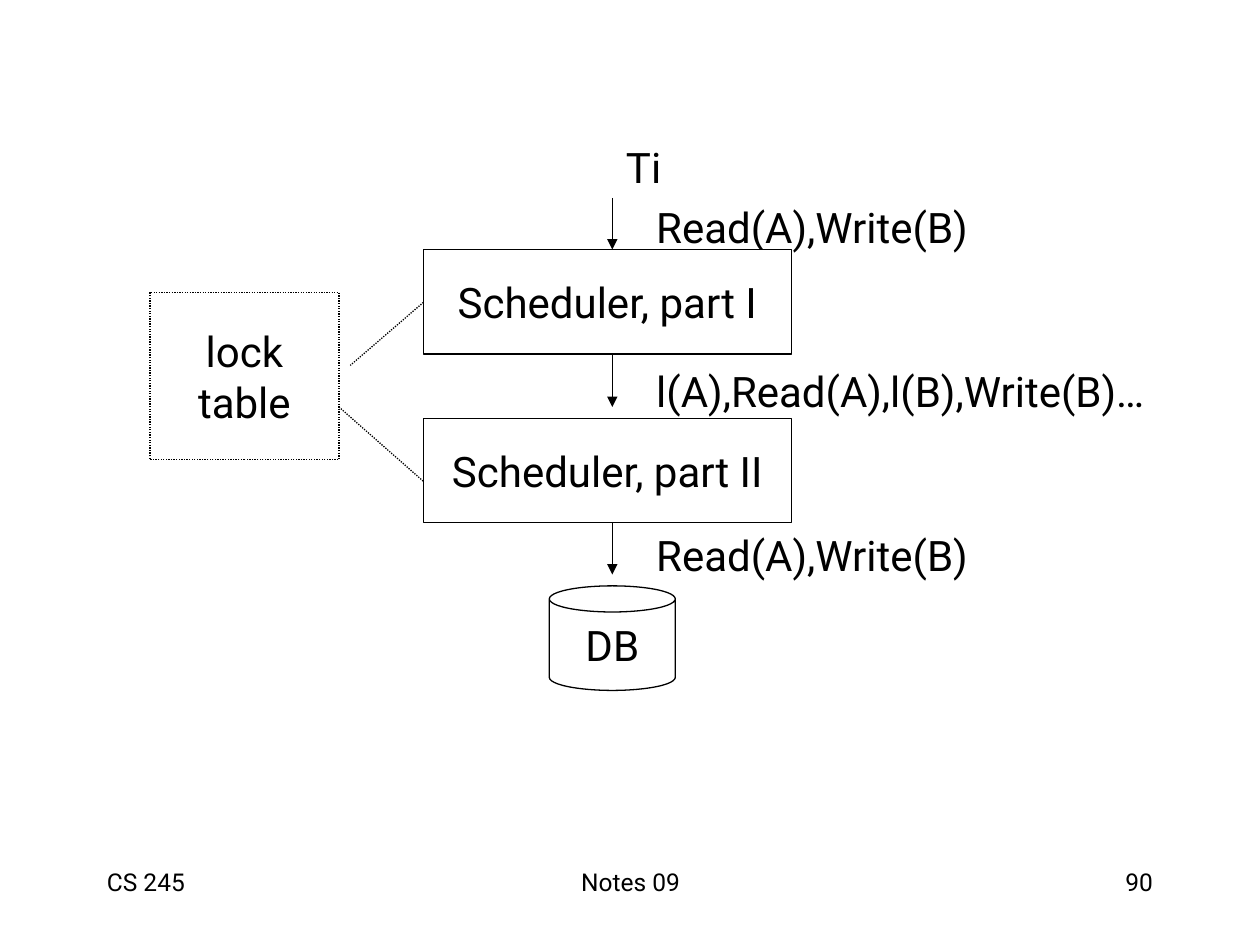
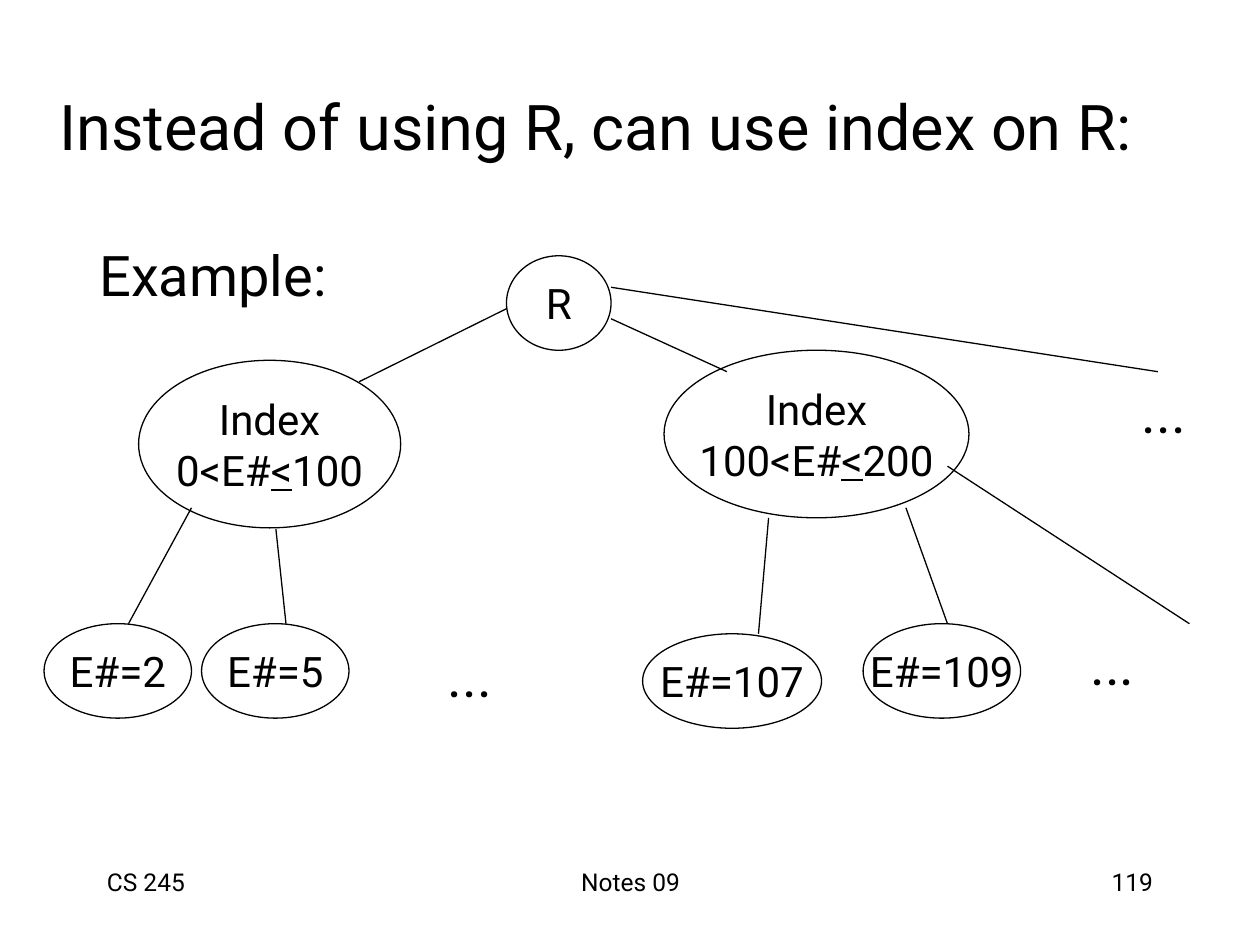
from dataclasses import dataclass

from pptx import Presentation
from pptx.dml.color import RGBColor
from pptx.enum.dml import MSO_LINE_DASH_STYLE as DASH
from pptx.enum.shapes import MSO_CONNECTOR as CONN, MSO_SHAPE as SHAPE
from pptx.enum.text import MSO_ANCHOR as ANCHOR, MSO_AUTO_SIZE as FIT, PP_ALIGN as ALIGN
from pptx.oxml.ns import qn
from pptx.util import Inches, Pt
from lxml.etree import SubElement


@dataclass(frozen=True)
class Theme:
    font: str = "Roboto"
    ink: RGBColor = RGBColor(0, 0, 0)
    paper: RGBColor = RGBColor(255, 255, 255)
    title: int = 36
    body: int = 32
    label: int = 24
    footer: int = 14
    line: float = 0.75


class Deck:
    TITLE_ONLY, BLANK = 5, 6

    def __init__(self, theme):
        self.theme = theme
        self.prs = Presentation()
        self.prs.slide_width = Inches(10)
        self.prs.slide_height = Inches(7.5)
        self.s = None

    def slide(self, number, title=None):
        layout = self.BLANK if title is None else self.TITLE_ONLY
        self.s = self.prs.slides.add_slide(self.prs.slide_layouts[layout])
        fill = self.s.background.fill
        fill.solid()
        fill.fore_color.rgb = self.theme.paper
        if title is not None:
            self.title(title)
        for text, x, w, align in (
            ("CS 245", 0.75, 2.08, ALIGN.LEFT),
            ("Notes 09", 3.42, 3.17, ALIGN.CENTER),
            (str(number), 7.17, 2.08, ALIGN.RIGHT),
        ):
            self.text(text, x, 6.83, w, 0.5, self.theme.footer, align, ANCHOR.TOP)

    def title(self, text):
        sp = self.s.shapes.title
        sp.left, sp.top, sp.width, sp.height = map(Inches, (0.37, 0.37, 9.14, 1.25))
        self.add_lines(sp.text_frame, [text], self.theme.title, ALIGN.LEFT)

    def add_lines(self, tf, lines, size, align, anchor=ANCHOR.MIDDLE, wrap=True):
        tf.auto_size = FIT.NONE
        tf.word_wrap = wrap
        tf.vertical_anchor = anchor
        for i, line in enumerate(lines):
            p = tf.paragraphs[0] if i == 0 else tf.add_paragraph()
            p.alignment = align
            for part in [line] if isinstance(line, str) else line:
                r = p.add_run()
                r.text = part
                r.font.name = self.theme.font
                r.font.size = Pt(size)
                r.font.color.rgb = self.theme.ink
                if part == "<":
                    r.font.underline = True

    def text(self, text, x, y, w, h, size, align=ALIGN.LEFT, anchor=ANCHOR.MIDDLE):
        sp = self.s.shapes.add_textbox(*map(Inches, (x, y, w, h)))
        self.add_lines(sp.text_frame, [text], size, align, anchor)

    def stroke(self, line, dash):
        line.color.rgb = self.theme.ink
        line.width = Pt(self.theme.line)
        if dash:
            line.dash_style = dash

    def node(self, kind, lines, x, y, w, h, dash=None):
        sp = self.s.shapes.add_shape(kind, *map(Inches, (x, y, w, h)))
        sp.shadow.inherit = False
        sp.fill.solid()
        sp.fill.fore_color.rgb = self.theme.paper
        self.stroke(sp.line, dash)
        self.add_lines(sp.text_frame, lines, self.theme.label, ALIGN.CENTER, wrap=False)

    def link(self, x1, y1, x2, y2, dash=None, arrow=False):
        cxn = self.s.shapes.add_connector(CONN.STRAIGHT, *map(Inches, (x1, y1, x2, y2)))
        self.stroke(cxn.line, dash)
        props = cxn._element.spPr
        if arrow:
            SubElement(props.get_or_add_ln(), qn("a:tailEnd"), type="triangle")
        SubElement(props, qn("a:effectLst"))


def scheduler_slide(deck):
    deck.slide(90)
    size = deck.theme.label
    deck.text("Ti", 4.87, 1.07, 0.8, 0.5, size)
    requests = ("Read(A),Write(B)", "l(A),Read(A),l(B),Write(B)…", "Read(A),Write(B)")
    for i, request in enumerate(requests):
        deck.text(request, 5.11, 1.55 + 1.3 * i, 4.25, 0.5, size)

    for i, part in enumerate(("I", "II")):
        deck.node(SHAPE.RECTANGLE, [f"Scheduler, part {part}"], 3.36, 1.98 + 1.34 * i, 2.92, 0.83)
    deck.node(SHAPE.CAN, ["DB"], 4.36, 4.65, 1, 0.83)
    for y in (1.57, 2.82, 4.15):
        deck.link(4.86, y, 4.86, y + 0.41, arrow=True)

    dots = DASH.ROUND_DOT
    deck.node(SHAPE.RECTANGLE, ["lock", "table"], 1.19, 2.32, 1.5, 1.33, dots)
    deck.link(3.36, 2.4, 2.78, 2.9, dots)
    deck.link(2.69, 3.23, 3.36, 3.82, dots)


def index_slide(deck):
    deck.slide(119, "Instead of using R, can use index on R:")
    deck.text("Example:", 0.69, 1.86, 3, 0.65, deck.theme.body, anchor=ANCHOR.TOP)

    for lines, *box in (
        (["R"], 4.02, 2.03, 0.83, 0.75),
        (["Index", ("0<E#", "<", "100")], 1.1, 2.86, 2.08, 1.33),
        (["Index", ("100<E#", "<", "200")], 5.27, 2.78, 2.42, 1.33),
        (["E#=2"], 0.35, 4.95, 1.17, 0.75),
        (["E#=5"], 1.6, 4.95, 1.17, 0.75),
        (["E#=107"], 5.1, 5.03, 1.42, 0.75),
        (["E#=109"], 6.85, 4.95, 1.25, 0.75),
    ):
        deck.node(SHAPE.OVAL, lines, *box)

    for ends in (
        (4.02, 2.45, 2.85, 3.03),
        (4.85, 2.53, 5.77, 2.95),
        (4.85, 2.28, 9.19, 2.95),
        (1.52, 4.03, 1.02, 4.95),
        (2.19, 4.2, 2.27, 4.95),
        (6.1, 4.11, 6.02, 5.03),
        (7.19, 4.03, 7.52, 4.95),
        (7.52, 3.7, 9.44, 4.95),
    ):
        deck.link(*ends)

    for x, y in ((3.45, 5.04), (8.96, 2.94), (8.55, 4.94)):
        deck.text("...", x, y, 0.56, 0.64, deck.theme.body, ALIGN.CENTER)


def main():
    deck = Deck(Theme())
    scheduler_slide(deck)
    index_slide(deck)
    deck.prs.save("out.pptx")


if __name__ == "__main__":
    main()
